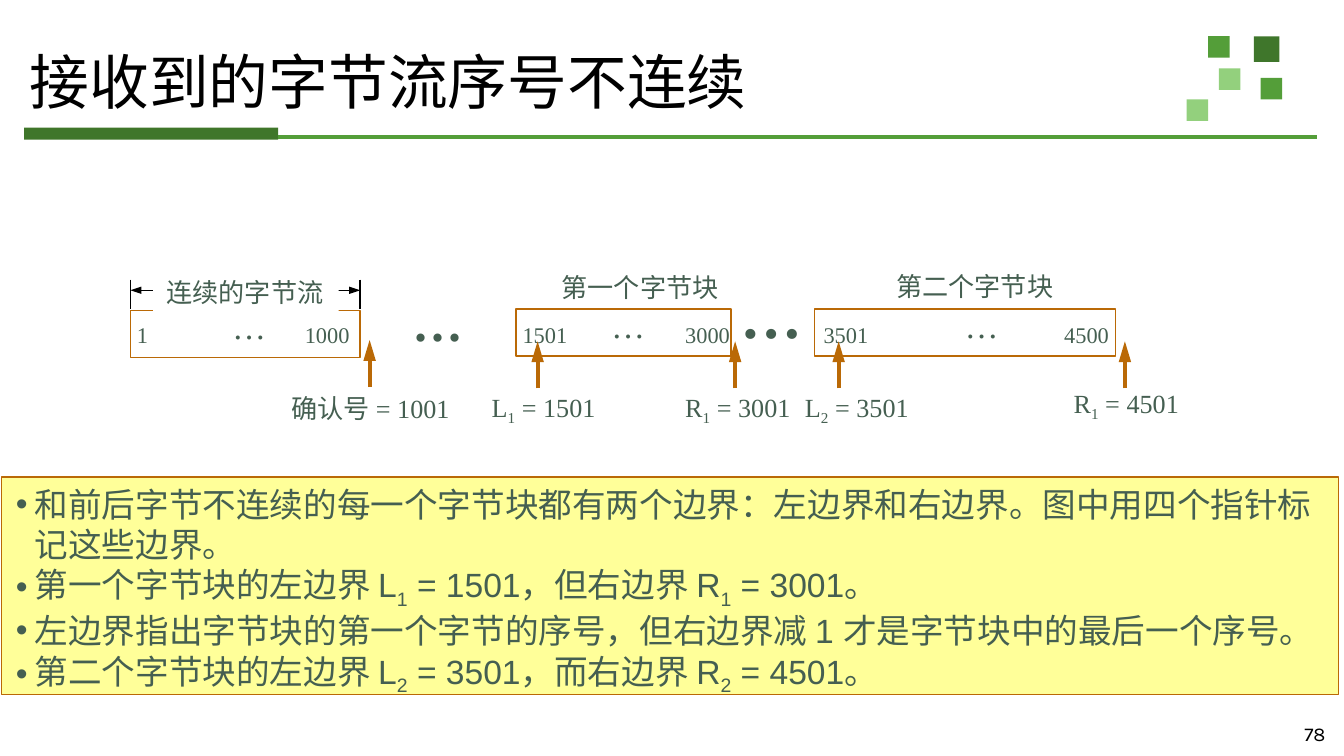
from dataclasses import dataclass
from lxml.etree import SubElement
from pptx import Presentation
from pptx.dml.color import RGBColor
from pptx.enum.shapes import MSO_CONNECTOR, MSO_SHAPE
from pptx.enum.text import MSO_ANCHOR, MSO_AUTO_SIZE, PP_ALIGN
from pptx.oxml.ns import qn
from pptx.util import Inches, Pt


@dataclass(frozen=True)
class Theme:
    dark: str = "3F762B"
    bar: str = "3F762A"
    green: str = "549E39"
    light: str = "93D07D"
    white: str = "FFFFFF"
    black: str = "000000"
    orange: str = "BA6906"
    yellow: str = "FFFF99"
    text: str = "455F51"
    serif: str = "Times New Roman"
    sans: str = "Arial"
    number: str = "Karla"
    title_size: float = 32
    body_size: float = 18
    label_size: float = 14
    byte_size: float = 12
    number_size: float = 10.5
    thin: float = 0.75
    rule: float = 2
    pointer: float = 2.25


THEME = Theme()
SLIDE_WIDTH = Inches(10)
SLIDE_HEIGHT = SLIDE_WIDTH * 9 // 16
COLUMN, ROW = SLIDE_WIDTH / 100, SLIDE_HEIGHT / 56.25

TITLE = "接收到的字节流序号不连续"
PAGE = "78"
STREAM_LABEL = "连续的字节流"
NOTES = [
    "和前后字节不连续的每一个字节块都有两个边界：左边界和右边界。图中用四个指针标记这些边界。",
    "第一个字节块的左边界 L_1 = 1501，但右边界 R_1 = 3001。",
    "左边界指出字节块的第一个字节的序号，但右边界减 1 才是字节块中的最后一个序号。",
    "第二个字节块的左边界 L_2 = 3501，而右边界 R_2 = 4501。",
]
SQUARES = [
    (93.3, 2.7, 1.9, THEME.dark),
    (89.9, 2.7, 1.6, THEME.green),
    (93.8, 5.8, 1.6, THEME.green),
    (90.7, 5.1, 1.6, THEME.light),
    (88.3, 7.4, 1.6, THEME.light),
]
BLOCKS = [(9.7, 23.1, 17.1), (38.4, 23, 16), (60.6, 23, 22.4)]
BLOCK_HEIGHT = 3.5
BYTES = [("1", 10.2), ("1000", 22.7), ("1501", 38.9), ("3000", 51), ("3501", 61.3), ("4500", 79.2)]
BLOCK_LABELS = [("第一个字节块", 40.8, 19.7), ("第二个字节块", 65.7, 19.6)]
ELLIPSES = [
    (29.7, 21.2, 5.8, 5.6, 27, True),
    (54.1, 20.1, 6.6, 6.6, 33, True),
    (16.3, 22.3, 4.5, 4, 18, False),
    (44.5, 22.2, 4.5, 4, 18, False),
    (70.8, 22.2, 4.5, 4, 18, False),
]
POINTERS = [
    (27.5, 28.8, "确认号 = 1001", 20.7, 28.7, 13.9),
    (40, 28.9, "L_1 = 1501", 35.6, 28.6, 9.9),
    (54.7, 28.9, "R_1 = 3001", 50, 28.6, 10),
    (62.4, 28.9, "L_2 = 3501", 58.9, 28.6, 9.9),
    (83.7, 28.9, "R_1 = 4501", 78.9, 28.3, 10),
]
POINTER_HEIGHT = 3.5
SPAN_HEADS = [("headEnd", "sm", "med"), ("tailEnd", "sm", "med")]
POINTER_HEADS = [("tailEnd", "med", "lg")]


def grid(left, top, width, height):
    return [round(value) for value in (left * COLUMN, top * ROW, width * COLUMN, height * ROW)]


def add_rectangle(slide, place, fill, line=None):
    shape = slide.shapes.add_shape(MSO_SHAPE.RECTANGLE, *grid(*place))
    shape.shadow.inherit = False
    shape.fill.solid()
    shape.fill.fore_color.rgb = RGBColor.from_string(fill)
    if line:
        shape.line.color.rgb = RGBColor.from_string(line)
        shape.line.width = Pt(THEME.thin)
    else:
        shape.line.fill.background()
    return shape


def add_line(slide, start, end, color, width, heads=()):
    connector = slide.shapes.add_connector(MSO_CONNECTOR.STRAIGHT, *grid(*start, *end))
    connector.line.color.rgb = RGBColor.from_string(color)
    connector.line.width = Pt(width)
    outline = connector._element.spPr.find(qn("a:ln"))
    for name, breadth, length in heads:
        SubElement(outline, qn(f"a:{name}"), type="triangle", w=breadth, len=length)
    SubElement(connector._element.spPr, qn("a:effectLst"))


def write(paragraph, text, size, font=THEME.serif, color=THEME.text, bold=False):
    first, *marked = text.split("_")
    pieces = [(first, False)]
    for part in marked:
        pieces += [(part[0], True), (part[1:], False)]
    for content, lowered in pieces:
        run = paragraph.add_run()
        run.text = content
        run.font.size = Pt(size)
        run.font.name = font
        run.font.bold = bold
        run.font.color.rgb = RGBColor.from_string(color)
        if lowered:
            run.font._element.set("baseline", "-25000")


def add_text(slide, place, text, size, wrap=False, **style):
    box = slide.shapes.add_textbox(*grid(*place))
    box.text_frame.word_wrap = wrap
    if text:
        write(box.text_frame.paragraphs[0], text, size, **style)
    return box.text_frame


def add_master_art(slide):
    for left, top, side, color in SQUARES:
        add_rectangle(slide, (left, top, side, side), color)
    add_rectangle(slide, (1.8, 9.5, 18.9, 0.9), THEME.bar)
    add_line(slide, (20.7, 10.2), (98, 10.2), THEME.green, THEME.rule)


def add_heading(slide):
    frame = add_text(slide, (1.5, 2.8, 96.3, 7.1), TITLE, THEME.title_size, True, color=THEME.black)
    frame.vertical_anchor = MSO_ANCHOR.MIDDLE
    frame.margin_left = frame.margin_right = Inches(0.07)
    frame.margin_top = frame.margin_bottom = Inches(0.04)
    frame.paragraphs[0].line_spacing = 0.9
    page = add_text(slide, (93.8, 53.2, 5.8, 3), PAGE, THEME.number_size, True,
                    font=THEME.number, color=THEME.black)
    page.paragraphs[0].alignment = PP_ALIGN.RIGHT


def add_byte_numbers(slide):
    origin = BYTES[0][1]
    frame = add_text(slide, (origin - 1, 23.4, 75.6, 3), "", THEME.byte_size, True)
    paragraph = frame.paragraphs[0]
    tabs = SubElement(paragraph._p.get_or_add_pPr(), qn("a:tabLst"))
    for _, left in BYTES[1:]:
        SubElement(tabs, qn("a:tab"), pos=str(round((left - origin) * COLUMN)), algn="l")
    write(paragraph, "\t".join(number for number, _ in BYTES), THEME.byte_size)


def add_stream_span(slide):
    left, _, width = BLOCKS[0]
    right = left + width
    add_line(slide, (left, 21.6), (right, 21.6), THEME.black, THEME.thin, SPAN_HEADS)
    for edge in (left, right):
        add_line(slide, (edge, 20.8), (edge, 23), THEME.black, THEME.thin)
    label = add_rectangle(slide, (11.4, 20, 13.8, 3.4), THEME.white)
    label.text_frame.word_wrap = False
    label.text_frame.paragraphs[0].alignment = PP_ALIGN.LEFT
    write(label.text_frame.paragraphs[0], STREAM_LABEL, THEME.label_size)


def add_diagram(slide):
    for left, top, width in BLOCKS:
        add_rectangle(slide, (left, top, width, BLOCK_HEIGHT), THEME.white, THEME.orange)
    add_byte_numbers(slide)
    add_stream_span(slide)
    for *place, size, bold in ELLIPSES:
        add_text(slide, place, "…", size, bold=bold)
    for column, base, text, left, top, width in POINTERS:
        add_text(slide, (left, top, width, 3.4), text, THEME.label_size, wrap="_" not in text)
        add_line(slide, (column, base), (column, base - POINTER_HEIGHT),
                 THEME.orange, THEME.pointer, POINTER_HEADS)
    for text, left, top in BLOCK_LABELS:
        add_text(slide, (left, top, 13.8, 3.4), text, THEME.label_size)


def add_notes_panel(slide):
    panel = add_rectangle(slide, (0.1, 35.5, 99.5, 16.2), THEME.yellow, THEME.orange)
    frame = panel.text_frame
    frame.word_wrap = True
    frame.auto_size = MSO_AUTO_SIZE.SHAPE_TO_FIT_TEXT
    frame.vertical_anchor = MSO_ANCHOR.TOP
    for index, note in enumerate(NOTES):
        paragraph = frame.add_paragraph() if index else frame.paragraphs[0]
        paragraph.alignment = PP_ALIGN.LEFT
        properties = paragraph._p.get_or_add_pPr()
        properties.set("marL", str(Inches(0.15)))
        properties.set("indent", str(Inches(-0.14)))
        SubElement(properties, qn("a:buFont"), typeface=THEME.sans)
        SubElement(properties, qn("a:buChar"), char="•")
        write(paragraph, note, THEME.body_size, font=THEME.sans)


def main():
    presentation = Presentation()
    presentation.slide_width, presentation.slide_height = SLIDE_WIDTH, SLIDE_HEIGHT
    slide = presentation.slides.add_slide(presentation.slide_layouts[6])
    add_master_art(slide)
    add_heading(slide)
    add_diagram(slide)
    add_notes_panel(slide)
    presentation.save("out.pptx")


if __name__ == "__main__":
    main()
